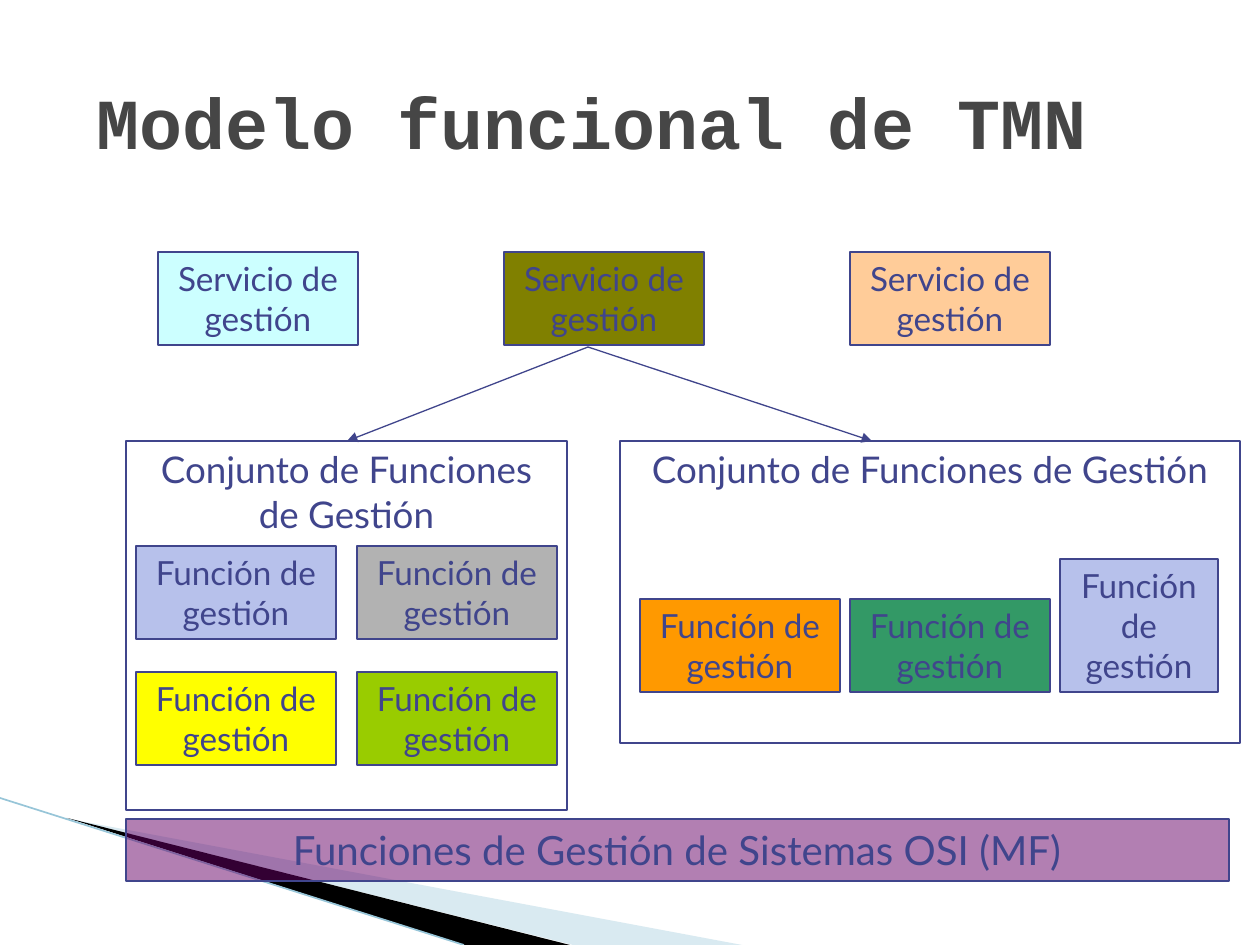
from pptx import Presentation
from pptx import util as u
from pptx.dml import color
from pptx.enum import shapes as sh, text as tx
from pptx.oxml import ns, xmlchemy as xc

PX = 9144000 / 1260
INK = "40458C"
SERVICE = "Servicio de gestión"
FUNC = "Función de gestión"
GROUP = "Conjunto de Funciones de Gestión"


def emu(n):
    return u.Emu(round(n * PX))


def rgb(code):
    return color.RGBColor.from_string(code)


def paint(shape, code, alpha=None):
    shape.fill.solid()
    shape.fill.fore_color.rgb = rgb(code)
    if alpha:
        tint = shape.fill._xPr.find(".//" + ns.qn("a:srgbClr"))
        node = xc.OxmlElement("a:alpha")
        node.set("val", str(alpha * 1000))
        tint.append(node)


def write(shape, words, size, font, code, bold=False):
    frame = shape.text_frame
    frame.text = words
    frame.word_wrap = True
    style = frame.paragraphs[0].runs[0].font
    style.size = u.Pt(size)
    style.name = font
    style.bold = bold
    style.color.rgb = rgb(code)
    return frame


def title(slide, words):
    box = slide.shapes.add_textbox(emu(84), emu(42), emu(1071), emu(158))
    frame = write(box, words, 41, "Courier New", "464646", True)
    frame.vertical_anchor = tx.MSO_ANCHOR.MIDDLE


def box(slide, words, x, y, w=200, h=93, fill=None, size=19, alpha=None):
    rect = slide.shapes.add_shape(
        sh.MSO_SHAPE.RECTANGLE, emu(x), emu(y), emu(w), emu(h))
    rect.shadow.inherit = False
    if fill:
        paint(rect, fill, alpha)
    else:
        rect.fill.background()
    rect.line.color.rgb = rgb(INK)
    rect.line.width = u.Pt(0.75)
    frame = write(rect, words, size, "Lato", INK)
    frame.vertical_anchor = tx.MSO_ANCHOR.TOP
    frame.paragraphs[0].alignment = tx.PP_ALIGN.CENTER


def line(slide, start, end, code=INK, width=0.75, arrow=False):
    link = slide.shapes.add_connector(
        sh.MSO_CONNECTOR.STRAIGHT, *map(emu, start + end))
    link.line.color.rgb = rgb(code)
    link.line.width = u.Pt(width)
    if arrow:
        head = xc.OxmlElement("a:tailEnd")
        head.set("type", "triangle")
        link.line._get_or_add_ln().append(head)
    link._element.spPr.append(xc.OxmlElement("a:effectLst"))


def wedge(slide, points, fill, alpha=None):
    build = slide.shapes.build_freeform(*points[0], scale=PX)
    build.add_line_segments(points[1:])
    shape = build.convert_to_shape()
    shape.shadow.inherit = False
    paint(shape, fill, alpha)
    shape.line.fill.background()


def main():
    deck = Presentation()
    deck.slide_width, deck.slide_height = emu(1260), emu(945)
    slide = deck.slides.add_slide(deck.slide_layouts[6])

    wedge(slide, [(69, 819), (742, 945), (573, 945)], "A0CBDC", 40)
    wedge(slide, [(67, 818), (570, 945), (464, 945)], "000000")
    line(slide, (0, 798), (464, 945), "97C5D8", 0.95)
    title(slide, "Modelo funcional de TMN")

    for i, fill in enumerate(["CCFFFF", "808000", "FFCC99"]):
        box(slide, SERVICE, 158 + i * 346, 252, fill=fill)

    box(slide, GROUP, 126, 441, 441, 369, size=21)
    for i, fill in enumerate(["B7C1EB", "B2B2B2", "FFFF00", "99CC00"]):
        row, col = divmod(i, 2)
        box(slide, FUNC, 136 + col * 221, 546 + row * 126, fill=fill)

    box(slide, GROUP, 620, 441, 620, 302, size=21)
    for i, fill in enumerate(["FF9900", "339966"]):
        box(slide, FUNC, 640 + i * 210, 599, fill=fill)
    box(slide, FUNC, 1060, 559, 158, 133, "B7C1EB")

    for x in (347, 872):
        line(slide, (588, 347), (x, 441), arrow=True)
    box(slide, "Funciones de Gestión de Sistemas OSI (MF)",
        126, 819, 1103, 62, "660066", 23, 50)
    deck.save("out.pptx")


if __name__ == "__main__":
    main()
